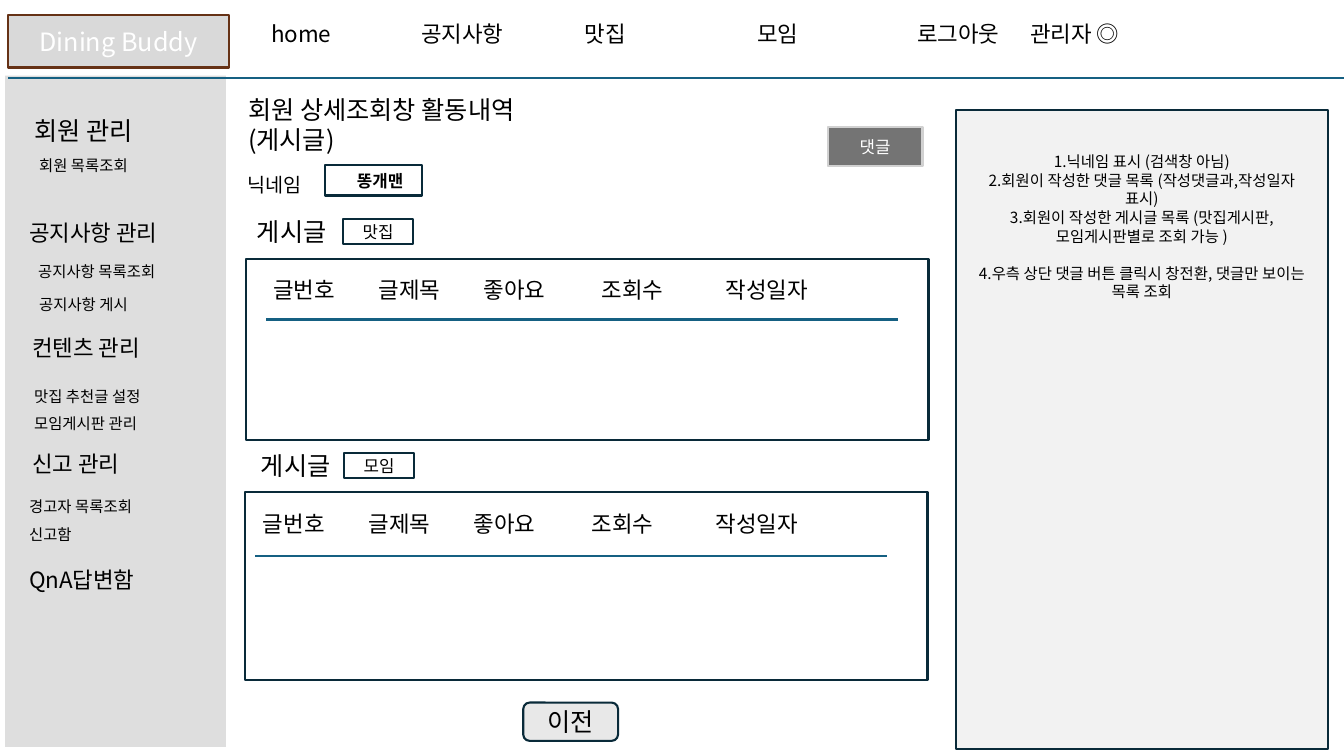
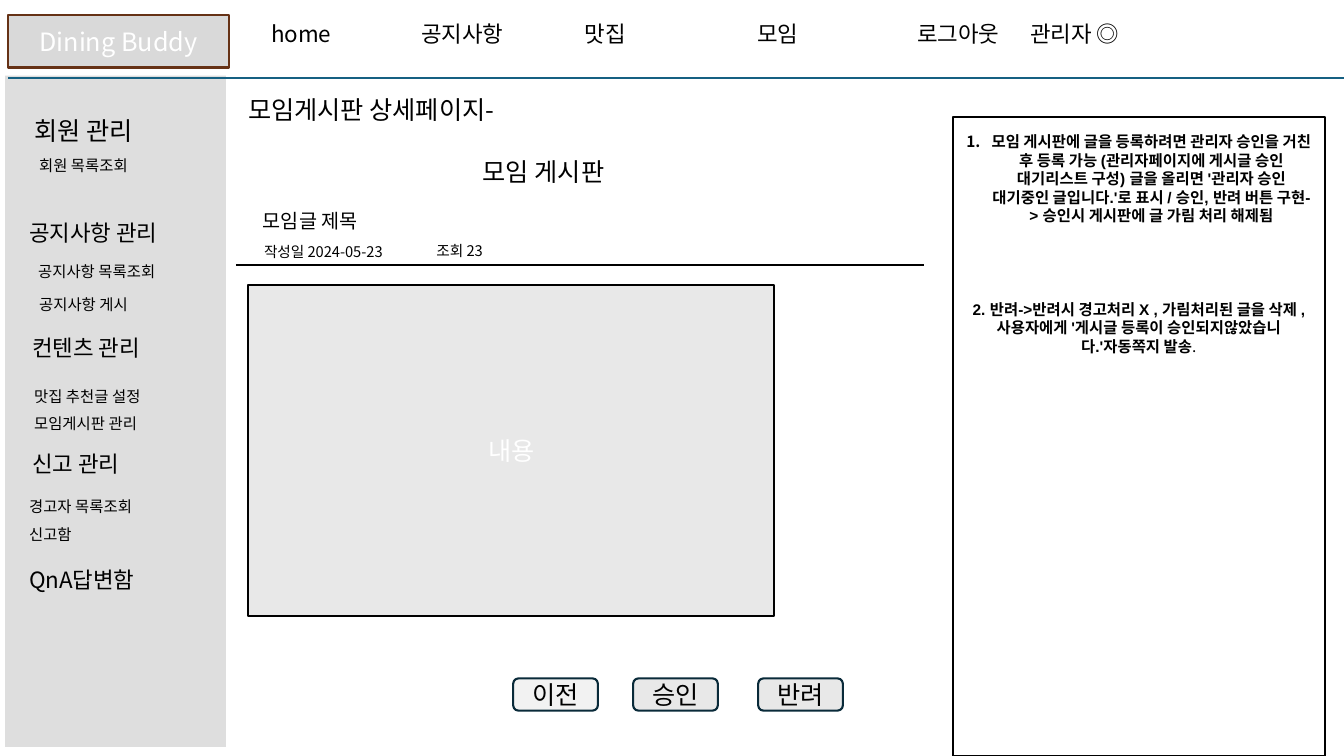
import pptx
import pptx.dml.color
import pptx.enum.shapes
import pptx.enum.text
import pptx.oxml
import pptx.oxml.ns
import pptx.util
import lxml.etree

SHAPES = pptx.enum.shapes.MSO_SHAPE
ALIGN = pptx.enum.text.PP_ALIGN
ANCHOR = pptx.enum.text.MSO_ANCHOR

EMU_PER_PX = 9144  # 100 px to the inch
SLIDE_SIZE = (1333, 750)
FONT = "Noto Sans CJK KR"
NOTE_FONT = "Arial"
LINE_HEIGHT = 1.21
LINE_WIDTH = 1.5
NOTE_SIZE = 11

COLORS = {
    "black": "000000", "white": "FFFFFF", "navy": "092A39", "teal": "156082",
    "brown": "663216", "logo": "D9D9D9", "sidebar": "BFBFBF", "pale": "F2F2F2",
    "light": "E8E8E8", "dark": "747474", "edge": "D1D1D1",
}

# Shared by both slides
LOGO = "Dining Buddy"
NAVIGATION = [("home", 259), ("공지사항", 408), ("맛집", 570), ("모임", 741),
              ("로그아웃", 900), ("관리자 ◎", 1012)]
SIDEBAR = [  # text, left, top, size
    ("회원 관리", 24, 109, 18),
    ("회원 목록조회", 29, 150, 11),
    ("공지사항 관리", 19, 212, 16),
    ("공지사항 목록조회", 28, 255, 11),
    ("공지사항 게시", 29, 288, 11),
    ("컨텐츠 관리", 22, 326, 16),
    ("맛집 추천글 설정", 24, 379, 11),
    ("모임게시판 관리", 24, 406, 11),
    ("신고 관리", 22, 441, 16),
    ("경고자 목록조회", 19, 488, 11),
    ("신고함", 19, 516, 11),
    ("QnA답변함", 19, 556, 16),
]

# Member activity slide
ACTIVITY_TITLE = "회원 상세조회창 활동내역(게시글)"
POST_COLUMNS = [("글번호", 0), ("글제목", 105), ("좋아요", 209),
                ("조회수", 326), ("작성일자", 449)]
POST_LISTS = [
    {"board": "맛집", "heading": (245, 209), "tag": (340, 217),
     "frame": (244, 257, 677, 180), "header": (261, 269), "rule": (264, 317)},
    {"board": "모임", "heading": (249, 442), "tag": (341, 449),
     "frame": (243, 488, 677, 187), "header": (251, 501), "rule": (253, 552)},
]
ACTIVITY_NOTES = [  # text, blank lines before
    ("1.닉네임 표시 (검색창 아님)", 0),
    ("2.회원이 작성한 댓글 목록 (작성댓글과,작성일자", 0),
    ("표시)", 0),
    ("3.회원이 작성한 게시글 목록 (맛집게시판,모임게시판별로 조회 가능 )", 0),
    ("4.우측 상단 댓글 버튼 클릭시 창전환, 댓글만 보이는 목록 조회", 1),
]

# Meeting board slide
BOARD_TITLE = "모임게시판 상세페이지-"
BOARD_TEXTS = [  # text, left, top, width, size
    ("모임 게시판", 469, 150, 226, 18),
    ("모임글 제목", 251, 202, 180, 14),
    ("작성일 2024-05-23", 252, 236, 158, 10.5),
    ("조회 23", 423, 235, 90, 10.5),
]
BOARD_BUTTONS = [("이전", 509, "pale"), ("승인", 628, "light"), ("반려", 752, "light")]
APPROVAL_NOTE = (
    "모임 게시판에 글을 등록하려면 관리자 승인을 거친 후 등록 가능 "
    "(관리자페이지에 게시글 승인 대기리스트 구성) 글을 올리면 "
    "'관리자 승인 대기중인 글입니다.'로 표시 / 승인, 반려 버튼 구현"
    "-> 승인시 게시판에 글 가림 처리 해제됨"
)
REJECTION_NOTE = (
    "2. 반려->반려시 경고처리 X , 가림처리된 글을 삭제 , 사용자에게 "
    "'게시글 등록이 승인되지않았습니다.'자동쪽지 발송"
)


def px(length):
    return pptx.util.Emu(length * EMU_PER_PX)


def rgb(name):
    return pptx.dml.color.RGBColor.from_string(COLORS[name])


def add_run(paragraph, text, size, color="black", bold=False, font=FONT):
    run = paragraph.add_run()
    run.text = text
    run.font.size = pptx.util.Pt(size)
    run.font.bold = bold
    run.font.name = font
    run.font.color.rgb = rgb(color)
    east_asian = lxml.etree.SubElement(run.font._element, pptx.oxml.ns.qn("a:ea"))
    east_asian.set("typeface", FONT)


def format_paragraph(paragraph, size, align=ALIGN.LEFT, blank_lines=0):
    line = pptx.util.Pt(size * LINE_HEIGHT)
    paragraph.alignment = align
    paragraph.line_spacing = line
    paragraph.space_before = pptx.util.Emu(line * blank_lines)


def write_line(shape, text, size, color="black", align=ALIGN.LEFT, bold=False):
    """Fill a shape with one paragraph of one run."""
    shape.text_frame.word_wrap = True
    paragraph = shape.text_frame.paragraphs[0]
    format_paragraph(paragraph, size, align)
    add_run(paragraph, text, size, color, bold)


def add_text(slide, text, left, top, width, size):
    box = slide.shapes.add_textbox(px(left), px(top), px(width), px(round(size * 2.2)))
    write_line(box, text, size)


def add_box(slide, bounds, fill, line=None, kind=SHAPES.RECTANGLE):
    shape = slide.shapes.add_shape(kind, *map(px, bounds))
    shape.shadow.inherit = False
    shape.fill.solid()
    shape.fill.fore_color.rgb = rgb(fill)
    if line:
        shape.line.color.rgb = rgb(line)
        shape.line.width = pptx.util.Pt(LINE_WIDTH)
    else:
        shape.line.fill.background()
    return shape


def add_label(slide, text, bounds, size, fill, line="navy", color="black",
              kind=SHAPES.RECTANGLE):
    """Add a box with one centred line of text."""
    shape = add_box(slide, bounds, fill, line, kind)
    frame = shape.text_frame
    frame.margin_top = frame.margin_bottom = 0
    frame.vertical_anchor = ANCHOR.MIDDLE
    write_line(shape, text, size, color, ALIGN.CENTER)


def add_button(slide, text, bounds, fill):
    add_label(slide, text, bounds, 18, fill, kind=SHAPES.ROUNDED_RECTANGLE)


def add_rule(slide, left, top, right, color):
    rule = slide.shapes.add_connector(
        pptx.enum.shapes.MSO_CONNECTOR.STRAIGHT, px(left), px(top), px(right), px(top))
    rule.line.color.rgb = rgb(color)
    rule.line.width = pptx.util.Pt(LINE_WIDTH)
    lxml.etree.SubElement(rule._element.spPr, pptx.oxml.ns.qn("a:effectLst"))


def add_note_panel(slide, bounds, fill, line, margin_top):
    frame = add_box(slide, bounds, fill, line).text_frame
    frame.word_wrap = True
    frame.vertical_anchor = ANCHOR.TOP
    frame.margin_top = px(margin_top)
    return frame


def add_note(frame, blank_lines):
    """Start a centred paragraph, using the first one while it is empty."""
    paragraph = frame.paragraphs[0]
    if paragraph.runs:
        paragraph = frame.add_paragraph()
    format_paragraph(paragraph, NOTE_SIZE, ALIGN.CENTER, blank_lines)
    return paragraph


def number_paragraph(paragraph, indent):
    properties = paragraph._element.get_or_add_pPr()
    properties.set("marL", str(px(indent)))
    properties.set("indent", str(px(-indent)))
    number = lxml.etree.SubElement(properties, pptx.oxml.ns.qn("a:buAutoNum"))
    number.set("type", "arabicPeriod")


def add_page(presentation, title_text):
    """Add a slide with title, navigation, logo and sidebar."""
    slide = presentation.slides.add_slide(presentation.slide_layouts[5])
    title = slide.shapes.title
    title.left, title.top, title.width, title.height = map(px, (236, 88, 340, 71))
    title.text_frame.auto_size = pptx.enum.text.MSO_AUTO_SIZE.NONE
    title.text_frame.vertical_anchor = ANCHOR.TOP
    write_line(title, title_text, 18)

    for text, left in NAVIGATION:
        add_text(slide, text, left, 15, 115, 16)
    add_label(slide, LOGO, (8, 15, 219, 52), 18, "logo", "brown", "white")
    sidebar = add_box(slide, (5, 75, 219, 666), "sidebar")
    fill_color = sidebar._element.spPr.find(".//" + pptx.oxml.ns.qn("a:srgbClr"))
    lxml.etree.SubElement(fill_color, pptx.oxml.ns.qn("a:alpha")).set("val", "50000")
    add_rule(slide, 8, 77, SLIDE_SIZE[0], "teal")
    for text, left, top, size in SIDEBAR:
        add_text(slide, text, left, top, 190, size)
    return slide


def add_post_list(slide, post_list):
    add_text(slide, "게시글", *post_list["heading"], 97, 18)
    add_label(slide, post_list["board"], (*post_list["tag"], 70, 25), 12, "white")
    add_box(slide, post_list["frame"], "white", "navy")
    left, top = post_list["header"]
    for text, offset in POST_COLUMNS:
        add_text(slide, text, left + offset, top, 105, 16)
    left, top = post_list["rule"]
    add_rule(slide, left, top, left + 627, "teal")


def build_activity_slide(presentation):
    slide = add_page(presentation, ACTIVITY_TITLE)
    add_text(slide, "닉네임", 236, 166, 86, 14)
    nickname = add_box(slide, (322, 164, 97, 30), "white", "navy")
    nickname.text_frame.margin_left = px(32)
    nickname.text_frame.margin_right = 0
    nickname.text_frame.vertical_anchor = ANCHOR.MIDDLE
    write_line(nickname, "똥개맨", 12, bold=True)
    for post_list in POST_LISTS:
        add_post_list(slide, post_list)
    add_label(slide, "댓글", (821, 126, 94, 39), 12, "dark", "edge", "white")
    add_button(slide, "이전", (519, 697, 94, 38), "light")

    frame = add_note_panel(slide, (948, 109, 369, 634), "pale", "navy", 42)
    for text, blank_lines in ACTIVITY_NOTES:
        add_run(add_note(frame, blank_lines), text, NOTE_SIZE)


def build_board_slide(presentation):
    slide = add_page(presentation, BOARD_TITLE)
    for text, left, top, width, size in BOARD_TEXTS:
        add_text(slide, text, left, top, width, size)
    add_rule(slide, 234, 263, 916, "black")
    add_label(slide, "내용", (246, 283, 522, 328), 18, "light", "black", "white")
    for text, left, fill in BOARD_BUTTONS:
        add_button(slide, text, (left, 673, 84, 32), fill)

    frame = add_note_panel(slide, (945, 116, 369, 634), "white", "black", 15)
    approval = add_note(frame, 0)
    number_paragraph(approval, 25)
    add_run(approval, APPROVAL_NOTE, NOTE_SIZE, bold=True, font=NOTE_FONT)
    rejection = add_note(frame, 4)
    add_run(rejection, REJECTION_NOTE, NOTE_SIZE, bold=True, font=NOTE_FONT)
    add_run(rejection, ".", NOTE_SIZE)


def main():
    presentation = pptx.Presentation()
    presentation.slide_width, presentation.slide_height = map(px, SLIDE_SIZE)
    build_activity_slide(presentation)
    build_board_slide(presentation)
    presentation.save("out.pptx")


if __name__ == "__main__":
    main()
